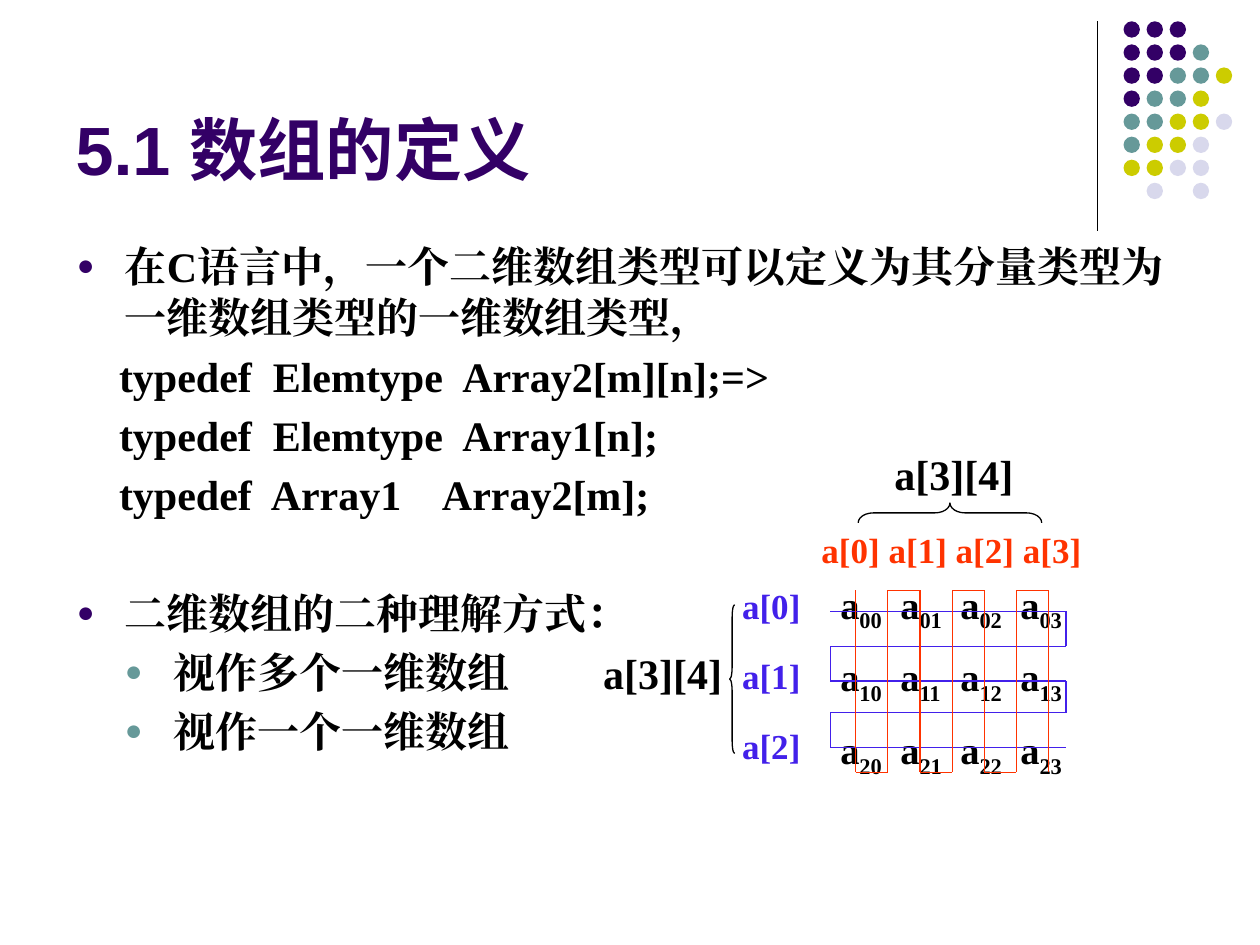
import collections

import lxml.etree
import pptx
import pptx.dml.color
import pptx.enum.shapes
import pptx.enum.text
import pptx.oxml.ns
import pptx.util

Cm = pptx.util.Cm
Pt = pptx.util.Pt
RGBColor = pptx.dml.color.RGBColor
Shapes = pptx.enum.shapes.MSO_SHAPE
Box = collections.namedtuple("Box", "left top width height")

PURPLE = RGBColor(0x33, 0x00, 0x66)
TEAL = RGBColor(0x66, 0x99, 0x99)
LIME = RGBColor(0xCC, 0xCC, 0x00)
LAVENDER = RGBColor(0xD8, 0xD8, 0xEC)
BLACK = RGBColor(0x00, 0x00, 0x00)
BLUE = RGBColor(0x42, 0x20, 0xEA)
RED = RGBColor(0xFF, 0x33, 0x00)

SERIF = "Times New Roman"
BODY_FORMAT = {"size": Pt(24), "bold": True, "name": SERIF}
LABEL_FORMAT = {"size": Pt(20), "bold": True, "name": SERIF}
MATRIX_FORMAT = {"size": Pt(22), "bold": True, "name": SERIF}
BODY_SPACING = {"line_spacing": Pt(29), "space_before": Pt(4.8)}
DOT_COLOURS = {"P": PURPLE, "T": TEAL, "Y": LIME, "L": LAVENDER}
DOT_ROWS = ["PPP", "PPPT", "PPTTY", "PTTY", "TTYYL", "TYYL", "YYLL", " L L"]


def set_values(target, values):
    """Set every attribute named in values on the target."""
    for name, value in values.items():
        setattr(target, name, value)


def add_element(parent, tag, **attributes):
    """Append a DrawingML element to the parent and return it."""
    return lxml.etree.SubElement(parent, pptx.oxml.ns.qn(tag), attributes)


def add_run(paragraph, text, values, colour, baseline=None):
    """Add a formatted run, using its font for East Asian text too."""
    run = paragraph.add_run()
    run.text = text
    set_values(run.font, values)
    run.font.color.rgb = colour
    properties = run._r.get_or_add_rPr()
    add_element(properties, "a:ea", typeface=values["name"])
    if baseline:
        properties.set("baseline", str(baseline))


def add_tabs(paragraph, positions):
    """Give the paragraph left tab stops at positions in centimetres."""
    tabs = add_element(paragraph._p.get_or_add_pPr(), "a:tabLst")
    for position in positions:
        add_element(tabs, "a:tab", pos=str(Cm(position)), algn="l")


def add_bullet(paragraph, colour, margin):
    """Give the paragraph a round bullet and a hanging indent."""
    properties = paragraph._p.get_or_add_pPr()
    properties.set("marL", str(Cm(margin)))
    properties.set("indent", str(Cm(-0.97)))
    add_element(add_element(properties, "a:buClr"), "a:srgbClr", val=str(colour))
    add_element(properties, "a:buSzPct", val="70000")
    add_element(properties, "a:buFont", typeface=SERIF)
    add_element(properties, "a:buChar", char="●")


def add_text_frame(shapes, box, wrap=True):
    """Add a text box and return its text frame."""
    frame = shapes.add_textbox(*map(Cm, box)).text_frame
    frame.word_wrap = wrap
    return frame


def add_label(shapes, box, text, values, colour, wrap=False):
    """Add a text box with a single run."""
    frame = add_text_frame(shapes, box, wrap)
    add_run(frame.paragraphs[0], text, values, colour)


def add_line(shapes, start, end, colour):
    """Draw a thin straight line between two points in centimetres."""
    line = shapes.add_connector(
        pptx.enum.shapes.MSO_CONNECTOR.STRAIGHT, *map(Cm, start + end))
    line.line.color.rgb = colour
    line.line.width = Pt(0.75)
    add_element(line._element.spPr, "a:effectLst")


def add_brace(shapes, box, curve, rotation=0):
    """Draw a left brace with the given curve size and rotation."""
    brace = shapes.add_shape(Shapes.LEFT_BRACE, *map(Cm, box))
    brace.shadow.inherit = False
    brace.fill.background()
    brace.line.color.rgb = BLACK
    brace.line.width = Pt(0.75)
    brace.adjustments[0] = curve
    brace.rotation = rotation


def add_corner_dots(slide, box):
    """Draw the corner divider and its grid of coloured dots."""
    divider = box.left - 0.53
    add_line(slide.shapes, (divider, box.top), (divider, box.top + 4.23), BLACK)
    size = 0.33
    pitch = (box.width - size) / 4
    dots = slide.shapes.add_group_shape().shapes
    for row, keys in enumerate(DOT_ROWS):
        for column, key in enumerate(keys):
            if key in DOT_COLOURS:
                place = (box.left + column * pitch, box.top + row * pitch, size, size)
                dot = dots.add_shape(Shapes.OVAL, *map(Cm, place))
                dot.shadow.inherit = False
                dot.fill.solid()
                dot.fill.fore_color.rgb = DOT_COLOURS[key]
                dot.line.fill.background()


def fill_title(slide, box):
    """Place and format the title placeholder."""
    title = slide.shapes.title
    set_values(title, dict(zip(box._fields, map(Cm, box))))
    set_values(title.text_frame, {
        "auto_size": pptx.enum.text.MSO_AUTO_SIZE.NONE, "word_wrap": True,
        "vertical_anchor": pptx.enum.text.MSO_ANCHOR.BOTTOM})
    paragraph = title.text_frame.paragraphs[0]
    paragraph.alignment = pptx.enum.text.PP_ALIGN.LEFT
    for text, font in (("5.1 ", "Arial"), ("数组的定义", "Noto Sans CJK SC")):
        add_run(paragraph, text, {"size": Pt(39), "bold": True, "name": font}, PURPLE)


def add_body(slide, box):
    """Write the bullets and the type definitions."""
    frame = add_text_frame(slide.shapes, box)
    wide, narrow = (0.85, 3.95, 7.77), (0.85, 3.91, 7.36)
    rows = [
        ("在C语言中，一个二维数组类型可以定义为其分量类型为一维数组类型的一维数组类型，", 0, None),
        ("\ttypedef\tElemtype\tArray2[m][n];=>", 0, wide),
        ("\ttypedef\tElemtype\tArray1[n];", 0, wide),
        ("\ttypedef\tArray1\tArray2[m];", 0, narrow),
        ("二维数组的二种理解方式：", 0, None),
        ("视作多个一维数组", 1, None),
        ("视作一个一维数组", 1, None),
    ]
    for index, (text, level, tabs) in enumerate(rows):
        paragraph = frame.add_paragraph() if index else frame.paragraphs[0]
        set_values(paragraph, BODY_SPACING)
        paragraph.level = level
        if tabs:
            add_tabs(paragraph, tabs)
        else:
            add_bullet(paragraph, (PURPLE, TEAL)[level], 0.97 * (level + 1))
        add_run(paragraph, text, BODY_FORMAT, BLACK)
    frame.paragraphs[4].space_before = Pt(38.6)


def add_matrix(slide, box):
    """Write the subscripted elements of the 3 by 4 array."""
    frame = add_text_frame(slide.shapes, box)
    for row in range(3):
        paragraph = frame.add_paragraph() if row else frame.paragraphs[0]
        paragraph.space_before = Pt(11.5)
        add_tabs(paragraph, [1.21 * column for column in range(1, 4)])
        for column in range(4):
            add_run(paragraph, "\ta" if column else "a", MATRIX_FORMAT, BLACK)
            add_run(paragraph, f"{row}{column}", MATRIX_FORMAT, BLACK, -25000)


def add_row_path(slide, box):
    """Draw the blue path that winds along the rows."""
    shapes = slide.shapes.add_group_shape().shapes
    left, right = box.left, box.left + box.width
    levels = [box.top + offset for offset in (0, 0.71, 1.41, 2.05, box.height)]
    for index, level in enumerate(levels):
        add_line(shapes, (left, level), (right, level), BLUE)
        if index:
            side = right if index % 2 else left
            add_line(shapes, (side, levels[index - 1]), (side, level), BLUE)


def add_column_path(slide, box):
    """Draw the red path that winds along the columns."""
    shapes = slide.shapes.add_group_shape().shapes
    top, bottom = box.top, box.top + box.height
    pitch = box.width / 6
    for index in range(7):
        x = box.left + index * pitch
        add_line(shapes, (x, top), (x, bottom), RED)
        if index < 6:
            level = top if index % 2 else bottom
            add_line(shapes, (x, level), (x + pitch, level), RED)


def add_array_diagram(slide, box):
    """Draw the array with its row and column views."""
    left, top = box.left, box.top
    shapes = slide.shapes
    add_matrix(slide, Box(left + 4.78, top + 2.66, 5.82, 3.99))
    add_brace(shapes, Box(left + 2.8, top + 3.27, 0.1, 3), 2.45)
    add_row_path(slide, Box(left + 4.83, top + 3.4, 4.75, 2.75))
    add_label(shapes, Box(left, top + 4.01, 3, 1.27), "a[3][4]", BODY_FORMAT, BLACK)
    add_label(shapes, Box(left + 4.4, top + 1.6, 6, 1.09),
              "a[0] a[1] a[2] a[3]", LABEL_FORMAT, RED, True)
    add_brace(shapes, Box(left + 7.04, top - 0.43, 0.4, 3.7), 0.76, 90)
    add_label(shapes, Box(left + 5.87, top, 2.92, 1.27), "a[3][4]", BODY_FORMAT, BLACK)
    for row in range(3):
        add_label(shapes, Box(left + 2.8, top + 2.74 + 1.41 * row, 1.68, 1.09),
                  f"a[{row}]", LABEL_FORMAT, BLUE)
    add_column_path(slide, Box(left + 5.34, top + 2.98, 3.89, 3.67))


def main():
    """Build and save the slide."""
    presentation = pptx.Presentation()
    set_values(presentation, {"slide_width": Cm(25.4), "slide_height": Cm(19.05)})
    slide = presentation.slides.add_slide(presentation.slide_layouts[5])
    add_corner_dots(slide, Box(22.65, 0.43, 2.19, 3.59))
    add_body(slide, Box(1.3, 4.72, 22.86, 12.24))
    fill_title(slide, Box(1.27, 0.33, 20.96, 3.61))
    add_array_diagram(slide, Box(11.91, 8.92, 10.6, 6.7))
    presentation.save("out.pptx")


if __name__ == "__main__":
    main()
